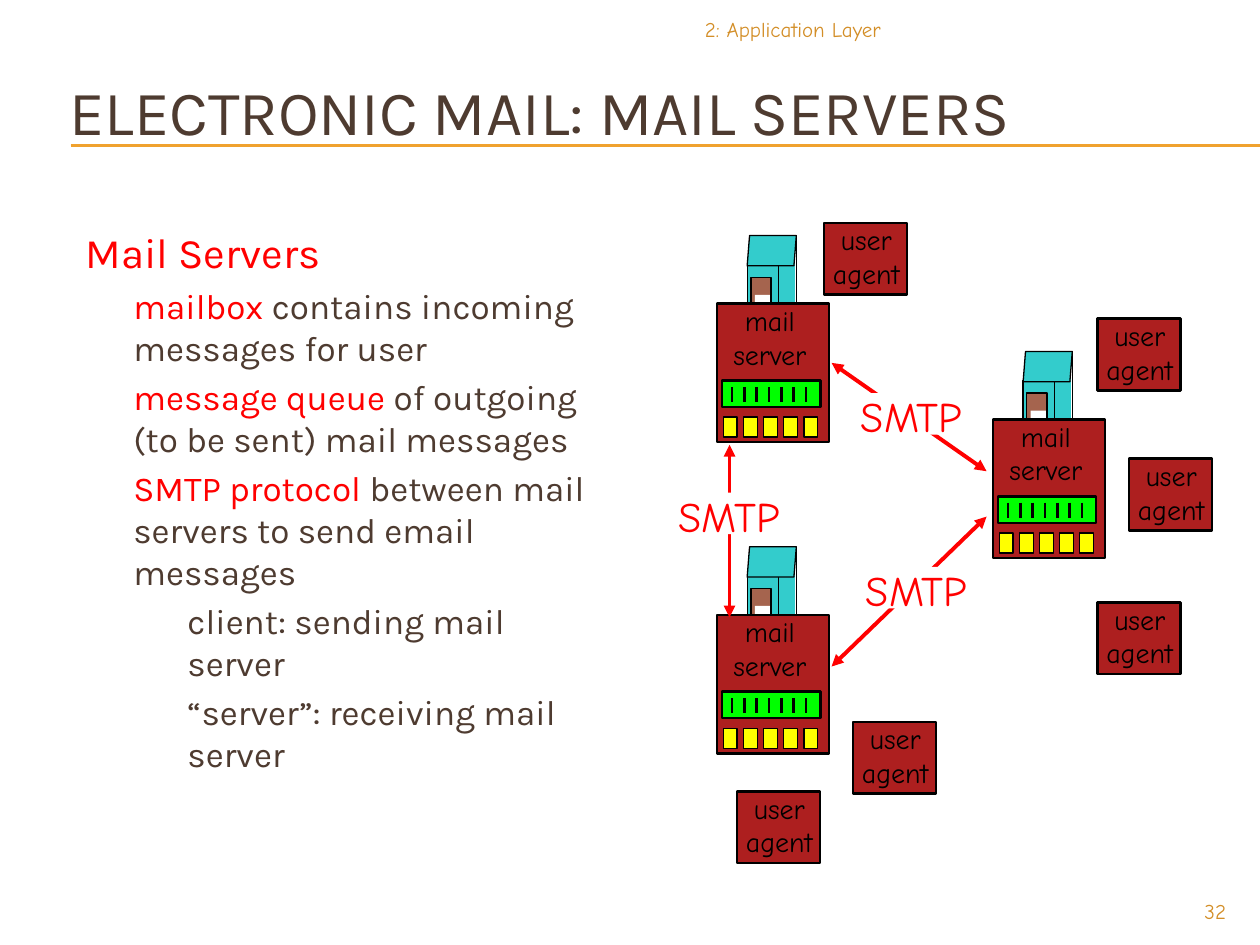
from dataclasses import dataclass

from lxml import etree
from pptx import Presentation
from pptx.dml.color import RGBColor
from pptx.enum.shapes import MSO_CONNECTOR, MSO_SHAPE
from pptx.enum.text import MSO_ANCHOR, MSO_AUTO_SIZE, PP_ALIGN
from pptx.oxml.ns import qn
from pptx.util import Inches, Pt

RECT, SLANT = MSO_SHAPE.RECTANGLE, MSO_SHAPE.PARALLELOGRAM
STRAIGHT = MSO_CONNECTOR.STRAIGHT
LEFT, MID, RIGHT = PP_ALIGN.LEFT, PP_ALIGN.CENTER, PP_ALIGN.RIGHT
NO_FIT, MIDDLE = MSO_AUTO_SIZE.NONE, MSO_ANCHOR.MIDDLE

RED = RGBColor(0xFF, 0x00, 0x00)
BROWN = RGBColor(0x4E, 0x3B, 0x30)
GOLD = RGBColor(0xF0, 0xA2, 0x2E)
OCHRE = RGBColor(0xD3, 0x8E, 0x27)
BRICK = RGBColor(0xAD, 0x1F, 0x1F)
TEAL = RGBColor(0x33, 0xCC, 0xCC)
WOOD = RGBColor(0xA5, 0x64, 0x4E)
GREEN = RGBColor(0x00, 0xFF, 0x00)
YELLOW = RGBColor(0xFF, 0xFF, 0x00)
WHITE = RGBColor(0xFF, 0xFF, 0xFF)
BLACK = RGBColor(0x00, 0x00, 0x00)

SANS, COMIC = "Karla", "Comic Neue"
COLS, ROWS = 100, 75

deck = Presentation()
deck.slide_width, deck.slide_height = Inches(10), Inches(7.5)
slide = deck.slides.add_slide(deck.slide_layouts[5])
shapes = slide.shapes


@dataclass
class Box:
    """Left, top, width and height in grid cells."""
    x: float
    y: float
    w: float
    h: float

    def shift(self, dx: float, dy: float) -> "Box":
        return Box(self.x + dx, self.y + dy, self.w, self.h)


@dataclass
class Para:
    """Runs of (text, colour) with the left margin in inches."""
    runs: list[tuple[str, RGBColor]]
    margin: float = 0
    size: float = 20


def across(col: float) -> int:
    return round(col * deck.slide_width / COLS)


def down(row: float) -> int:
    return round(row * deck.slide_height / ROWS)


def place(box: Box) -> tuple[int, int, int, int]:
    return across(box.x), down(box.y), across(box.w), down(box.h)


def write(frame, paras: list[Para], font: str = COMIC, align=MID,
          gap: float = 0) -> None:
    frame.word_wrap = True
    frame.auto_size = NO_FIT
    for i, para in enumerate(paras):
        line = frame.paragraphs[0] if i == 0 else frame.add_paragraph()
        line.alignment = align
        line.space_before = Pt(gap if i else 0)
        if para.margin:
            line._p.get_or_add_pPr().set("marL", str(Inches(para.margin)))
        for words, colour in para.runs:
            run = line.add_run()
            run.text = words
            run.font.name, run.font.size = font, Pt(para.size)
            run.font.color.rgb = colour


def label(box: Box, lines: list[str], size: float, colour: RGBColor,
          align=MID) -> None:
    paras = [Para([(words, colour)], size=size) for words in lines]
    write(shapes.add_textbox(*place(box)).text_frame, paras, align=align)


def block(box: Box, fill: RGBColor, edge: float = 0, kind=RECT):
    """Draw a filled shape; edge is the black outline's width in points."""
    shape = shapes.add_shape(kind, *place(box))
    shape.shadow.inherit = False
    shape.fill.solid()
    shape.fill.fore_color.rgb = fill
    if edge:
        shape.line.color.rgb = BLACK
        shape.line.width = Pt(edge)
    else:
        shape.line.fill.background()
    return shape


def rule(x1: float, y1: float, x2: float, y2: float, colour: RGBColor,
         width: float, arrows: bool = False) -> None:
    line = shapes.add_connector(STRAIGHT, across(x1), down(y1),
                                across(x2), down(y2))
    line.line.color.rgb = colour
    line.line.width = Pt(width)
    if arrows:
        stroke = line.line._get_or_add_ln()
        for end in ("a:headEnd", "a:tailEnd"):
            etree.SubElement(stroke, qn(end), type="triangle")
    etree.SubElement(line._element.spPr, qn("a:effectLst"))


def server(x: float, y: float) -> None:
    """Draw a mailbox behind a server whose case starts at x, y."""
    block(Box(4.4, -5.4, 1.8, 7.8).shift(x, y), TEAL)
    block(Box(2.4, -3.1, 2.5, 7.8).shift(x, y), TEAL, 0.75)
    roof = block(Box(2.4, -5.4, 3.9, 2.4).shift(x, y), TEAL, 0.75, SLANT)
    roof.adjustments[0] = 0.08
    rule(x + 6.3, y - 5.3, x + 6.3, y + 2.4, BLACK, 0.75)
    block(Box(2.7, -2.1, 1.6, 4.5).shift(x, y), WOOD, 0.75)
    block(Box(3, -0.7, 1.2, 1.6).shift(x, y), WHITE)
    block(Box(x, y, 8.9, 11), BRICK, 1.5)
    label(Box(-0.2, -0.5, 8.8, 6.4).shift(x, y), ["mail", "server"], 16, BLACK)
    block(Box(0.4, 6.1, 7.8, 2.1).shift(x, y), GREEN, 1.5)
    for i in range(7):
        bar = x + 1.2 + 0.98 * i
        rule(bar, y + 6.6, bar, y + 7.8, BLACK, 1.5)
    for i in range(5):
        block(Box(0.5 + 1.6 * i, 9, 1.1, 1.6).shift(x, y), YELLOW, 0.75)


def agent(x: float, y: float) -> None:
    block(Box(x, y, 6.6, 5.7), BRICK, 1.5)
    label(Box(x - 0.55, y - 0.5, 7.8, 6.4), ["user", "agent"], 16, BLACK)


def tag(x: float, y: float) -> None:
    """Draw a protocol name on a white plate that breaks the arrow."""
    block(Box(x, y, 9.4, 3.3), WHITE)
    label(Box(x - 0.9, y - 0.7, 11.3, 5), ["SMTP"], 24, RED)


SERVERS = [(78.8, 33.3), (56.9, 48.8), (56.9, 24.1)]
AGENTS = [(87.1, 25.3), (89.6, 36.4), (87.1, 47.8),
          (67.7, 57.3), (58.5, 62.8), (65.4, 17.7)]
ARROWS = [(66, 28.8, 78.3, 37.4), (66, 52.9, 78.3, 41),
          (57.9, 49, 57.9, 35.3)]
TAGS = [(68, 45), (67.6, 31.2), (53.1, 39.1)]
POINTS = [
    Para([("Mail Servers", RED)], size=24),
    Para([("mailbox", RED),
          (" contains incoming messages for user", BROWN)], 0.38),
    Para([("message queue", RED),
          (" of outgoing (to be sent) mail messages", BROWN)], 0.38),
    Para([("SMTP protocol", RED),
          (" between mail servers to send email messages", BROWN)], 0.38),
    Para([("client: sending mail server", BROWN)], 0.81),
    Para([("“server”: receiving mail server", BROWN)], 0.81),
]

for row in (11.5, 11.6):
    rule(5.6, row, COLS, row, GOLD, 0.75)

title = shapes.title
title.left, title.top, title.width, title.height = place(
    Box(4.5, 2.5, 85, 12.5))
title.text_frame.vertical_anchor = MIDDLE
write(title.text_frame,
      [Para([("ELECTRONIC MAIL: MAIL SERVERS", BROWN)], size=36)], SANS, LEFT)

body = shapes.add_textbox(*place(Box(5.8, 17.5, 43, 50.8)))
write(body.text_frame, POINTS, SANS, LEFT, gap=4)
label(Box(34.2, 0.8, 36.7, 3.2), ["2: Application Layer"], 12, OCHRE, RIGHT)
label(Box(90, 70.8, 8.3, 2.7), ["32"], 12, OCHRE, RIGHT)

for spot in SERVERS:
    server(*spot)
for spot in AGENTS:
    agent(*spot)
for ends in ARROWS:
    rule(*ends, RED, 2.25, arrows=True)
for spot in TAGS:
    tag(*spot)

deck.save("out.pptx")
